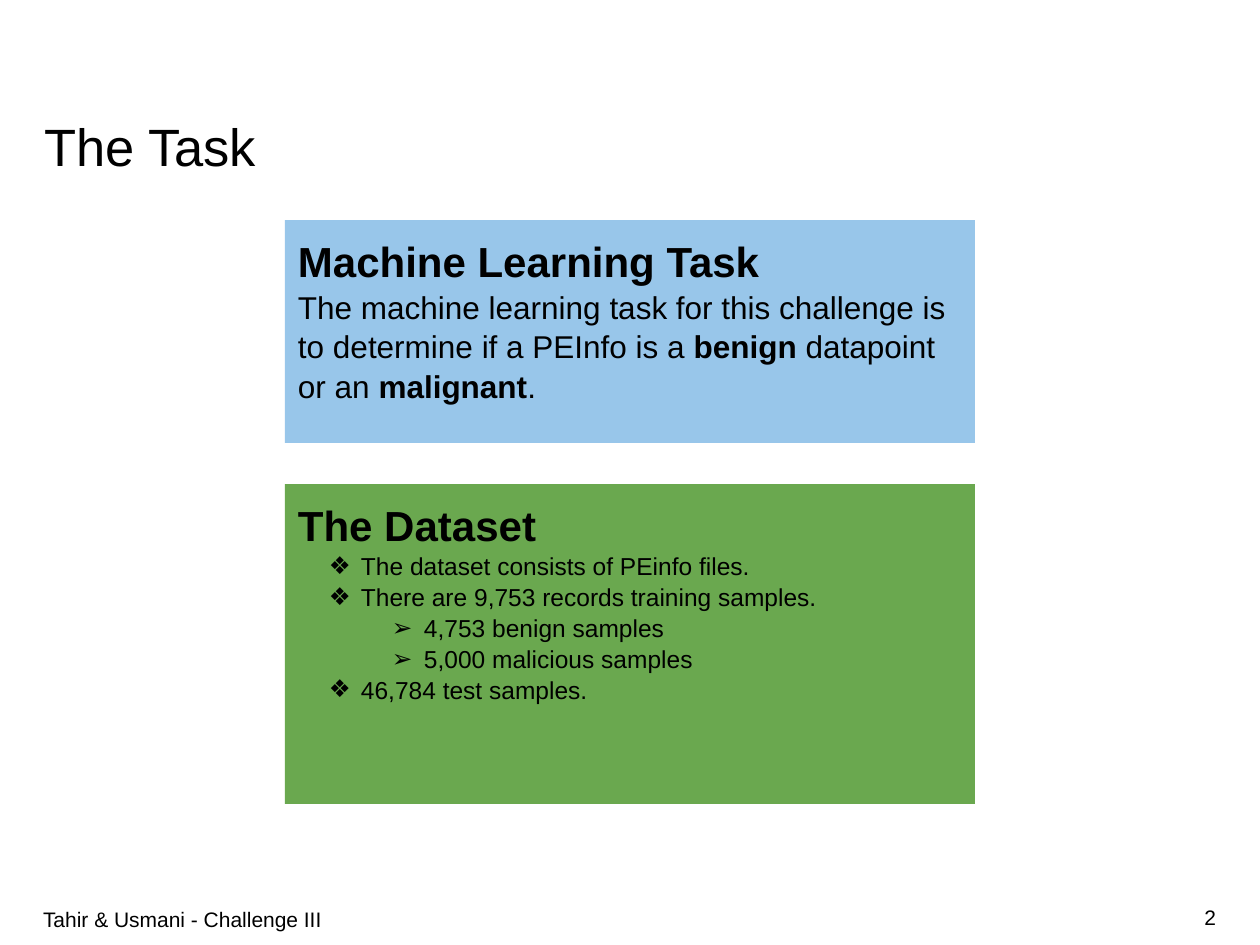
from dataclasses import dataclass

from lxml import etree
from pptx import Presentation
from pptx.dml.color import RGBColor
from pptx.enum.shapes import MSO_SHAPE
from pptx.enum.text import MSO_ANCHOR, MSO_AUTO_SIZE, PP_ALIGN
from pptx.oxml.ns import qn
from pptx.util import Pt

RECT = MSO_SHAPE.RECTANGLE
TOP, MIDDLE = MSO_ANCHOR.TOP, MSO_ANCHOR.MIDDLE
LEFT, RIGHT = PP_ALIGN.LEFT, PP_ALIGN.RIGHT
NO_FIT = MSO_AUTO_SIZE.NONE
SCALE = 914400 // 126
INDENT = 63
HANG = 32
BULLETS = ("\u2756", "\u27a2")


@dataclass(frozen=True)
class Theme:
    """Colours, font and type sizes of the slide."""
    font: str = "Arial"
    ink: str = "000000"
    blue: str = "98C6EA"
    green: str = "6AA84F"
    title: int = 30
    head: int = 24
    body: int = 18
    item: int = 14
    foot: int = 12


@dataclass(frozen=True)
class Line:
    """A paragraph; every second run is bold, level 0 has no bullet."""
    runs: tuple[str, ...]
    size: int
    level: int = 0
    space: float = 1.0
    align: PP_ALIGN = LEFT


@dataclass(frozen=True)
class Panel:
    """A filled box with lines of text."""
    top: int
    height: int
    fill: str
    lines: tuple[Line, ...]


@dataclass(frozen=True)
class Footer:
    """A text box at the foot of the slide."""
    left: int
    width: int
    line: Line


THEME = Theme()
PANEL_SPACE = 1.05


def panel_line(size: int, *runs: str, level: int = 0) -> Line:
    """Make a line with the spacing of the panels."""
    return Line(runs, size, level, PANEL_SPACE)


PANELS = (
    Panel(484, 320, THEME.green, (
        panel_line(THEME.head, "", "The Dataset"),
        panel_line(THEME.item, "The dataset consists of PEinfo files.", level=1),
        panel_line(THEME.item, "There are 9,753 records training samples.", level=1),
        panel_line(THEME.item, "4,753 benign samples", level=2),
        panel_line(THEME.item, "5,000 malicious samples", level=2),
        panel_line(THEME.item, "46,784 test samples.", level=1),
    )),
    Panel(220, 223, THEME.blue, (
        panel_line(THEME.head, "", "Machine Learning Task"),
        panel_line(
            THEME.body,
            "The machine learning task for this challenge is "
            "to determine if a PEInfo is a ",
            "benign", " datapoint or an ", "malignant", "."),
    )),
)
FOOTERS = (
    Footer(934, 282, Line(("2",), THEME.foot, align=RIGHT)),
    Footer(43, 891, Line(("Tahir & Usmani - Challenge III",), THEME.foot, space=1.2)),
)


def px(value: int) -> int:
    """Turn pixels into EMU."""
    return value * SCALE


def apply(target, values: dict) -> None:
    """Set each attribute of the target."""
    for name, value in values.items():
        setattr(target, name, value)


def add_bullet(para, level: int) -> None:
    """Give the paragraph the bullet and indent of its level."""
    para.level = level - 1
    props = para._p.get_or_add_pPr()
    props.set("marL", str(px(INDENT * level)))
    props.set("indent", str(-px(HANG)))
    etree.SubElement(props, qn("a:buFont"), typeface=THEME.font)
    etree.SubElement(props, qn("a:buChar"), char=BULLETS[level - 1])


def write(frame, lines: tuple[Line, ...], anchor: MSO_ANCHOR,
          side: int, end: int) -> None:
    """Fill a text frame with lines, using side and end margins."""
    apply(frame, {
        "word_wrap": True, "auto_size": NO_FIT, "vertical_anchor": anchor,
        "margin_left": px(side), "margin_right": px(side),
        "margin_top": px(end), "margin_bottom": px(end),
    })
    for spot, line in enumerate(lines):
        para = frame.add_paragraph() if spot else frame.paragraphs[0]
        apply(para, {"alignment": line.align, "line_spacing": line.space})
        if line.level:
            add_bullet(para, line.level)
        for turn, text in enumerate(line.runs):
            if not text:
                continue
            run = para.add_run()
            run.text = text
            apply(run.font, {"name": THEME.font, "size": Pt(line.size),
                             "bold": turn % 2 == 1})
            run.font.color.rgb = RGBColor.from_string(THEME.ink)


def add_panel(slide, panel: Panel) -> None:
    """Draw one filled panel."""
    shape = slide.shapes.add_shape(
        RECT, px(285), px(panel.top), px(690), px(panel.height))
    shape.shadow.inherit = False
    shape.fill.solid()
    shape.fill.fore_color.rgb = RGBColor.from_string(panel.fill)
    shape.line.fill.background()
    write(shape.text_frame, panel.lines, TOP, 13, 13)


def add_footer(slide, foot: Footer) -> None:
    """Draw one footer text."""
    box = slide.shapes.add_textbox(
        px(foot.left), px(892), px(foot.width), px(50))
    write(box.text_frame, (foot.line,), MIDDLE, 0, 6)


def set_title(slide) -> None:
    """Place and write the title."""
    title = slide.shapes.title
    apply(title, {"left": px(44), "top": px(110),
                  "width": px(1173), "height": px(57)})
    write(title.text_frame, (Line(("The Task",), THEME.title, space=1.07),),
          TOP, 0, 0)


def main() -> None:
    """Build and save the slide."""
    deck = Presentation()
    apply(deck, {"slide_width": px(1260), "slide_height": px(945)})
    slide = deck.slides.add_slide(deck.slide_layouts[5])
    for foot in FOOTERS:
        add_footer(slide, foot)
    set_title(slide)
    for panel in PANELS:
        add_panel(slide, panel)
    deck.save("out.pptx")


main()
